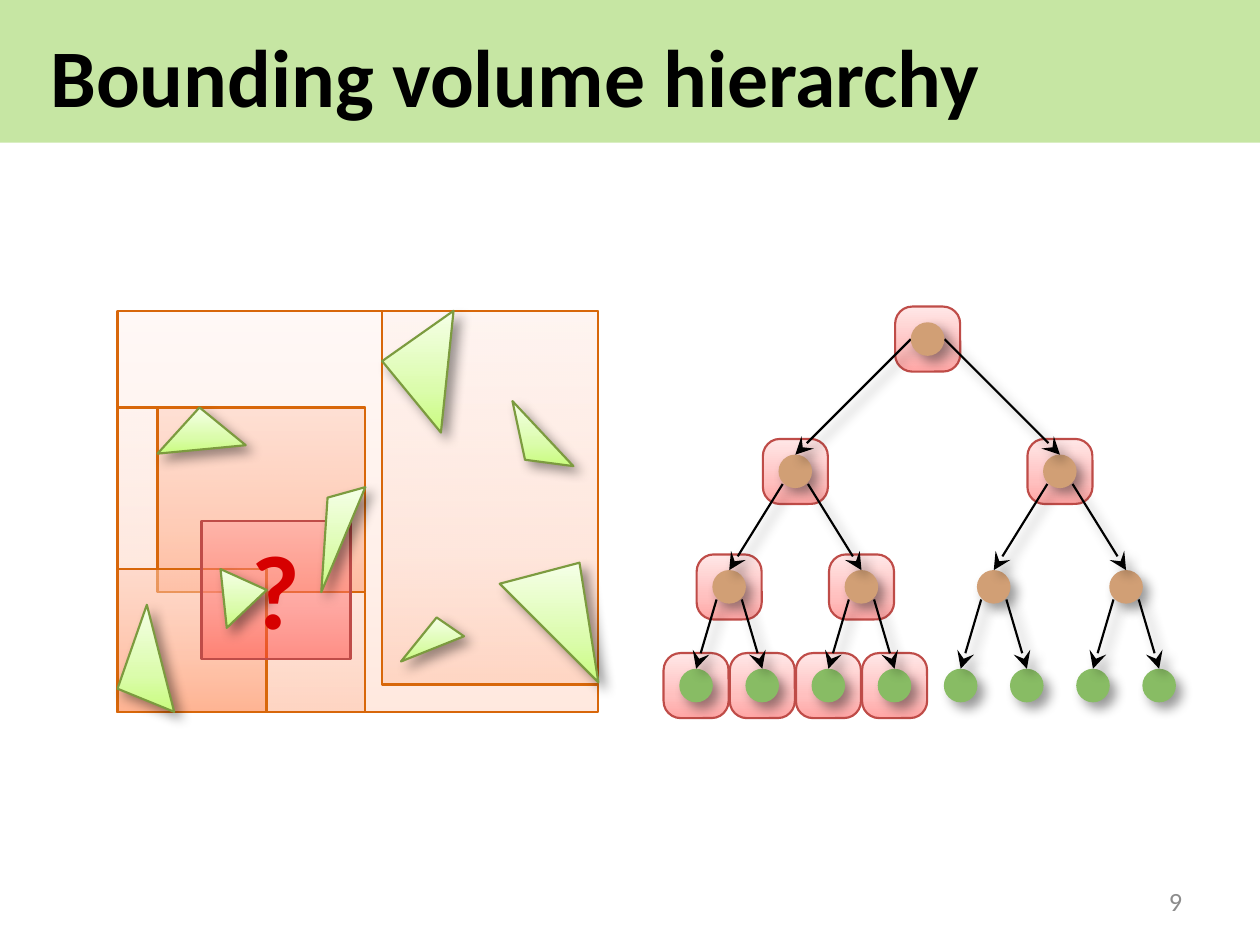
from lxml.etree import SubElement
from pptx import Presentation
from pptx.dml.color import RGBColor
from pptx.enum.shapes import MSO_CONNECTOR, MSO_SHAPE
from pptx.enum.text import MSO_ANCHOR, PP_ALIGN
from pptx.oxml import parse_xml
from pptx.oxml.ns import nsdecls, qn
from pptx.util import Inches, Pt

COLORS = {"band": "92D050", "ink": "000000", "grey": "8C8C8C", "query": "D60000",
          "leaf": "88BC64", "node": "D19F75",
          "red": "BF4C48", "orange": "D8670A", "green": "7C9B3F"}
# Each blend runs from bottom to top: three colours and an opacity in percent.
BLENDS = {"hit": ("FFA6A5", "FFC0BF", "FFE7E7", 100),
          "root": ("FFD4C0", "FFE2D5", "FFF4F0", 50),
          "half": ("FFC2A7", "FFDED0", "FFF3EE", 50),
          "part": ("FF9564", "FFAE8B", "FFCFBC", 50),
          "query": ("FF3F3C", "FF6866", "FF9F9E", 50),
          "face": ("C9FC7E", "DBFCAC", "F5FFE7", 100)}

VOLUMES = [("root", 0, 0, 2.29, 1.91), ("half", 1.26, 0, 1.03, 1.78),
           ("half", 0, 0.46, 1.18, 1.45), ("part", 0.19, 0.46, 0.99, 0.88),
           ("part", 0, 1.23, 0.71, 0.68)]
FACES = [((0, 1.8), (0.14, 1.4), (0.27, 1.91)),
         ((1.52, 1.46), (1.65, 1.55), (1.35, 1.67)),
         ((1.82, 1.3), (2.2, 1.2), (2.29, 1.77)),
         ((0.19, 0.68), (0.39, 0.46), (0.61, 0.64)),
         ((1.26, 0.24), (1.6, 0), (1.54, 0.58)),
         ((1.94, 0.71), (1.88, 0.43), (2.17, 0.74))]
FOUND = [((0.52, 1.51), (0.49, 1.23), (0.71, 1.33)),
         ((1, 0.89), (1.18, 0.84), (0.97, 1.34))]


def rgb(name):
    return RGBColor.from_string(COLORS[name])


def blend(shape, name):
    *stops, alpha = BLENDS[name]
    marks = "".join(
        f'<a:gs pos="{pos}"><a:srgbClr val="{hue}"><a:alpha val="{alpha * 1000}"/></a:srgbClr></a:gs>'
        for pos, hue in zip((0, 35000, 100000), stops))
    shape.fill.solid()
    props = shape._element.spPr
    props.replace(props.find(qn("a:solidFill")), parse_xml(
        f'<a:gradFill {nsdecls("a")} rotWithShape="1"><a:gsLst>{marks}</a:gsLst>'
        '<a:lin ang="16200000" scaled="0"/></a:gradFill>'))


def effect(shape, soft):
    """Give the shape a soft shadow, or none; call after fill and line are set."""
    drop = ('<a:outerShdw blurRad="50800" dist="38100" dir="2700000" algn="tl" rotWithShape="0">'
            '<a:srgbClr val="000000"><a:alpha val="40000"/></a:srgbClr></a:outerShdw>')
    shape._element.spPr.append(parse_xml(
        f'<a:effectLst {nsdecls("a")}>{drop if soft else ""}</a:effectLst>'))


def edge(shape, hue):
    shape.line.color.rgb = rgb(hue)
    shape.line.width = Pt(0.75)


def block(slide, kind, box, fill, hue):
    shape = slide.shapes.add_shape(kind, *map(Inches, box))
    blend(shape, fill)
    edge(shape, hue)
    effect(shape, False)
    return shape


def face(slide, left, top, points):
    spots = [(Inches(left + x), Inches(top + y)) for x, y in points]
    build = slide.shapes.build_freeform(*spots[0])
    build.add_line_segments(spots[1:], close=True)
    shape = build.convert_to_shape()
    blend(shape, "face")
    edge(shape, "green")
    effect(shape, True)


def dot(slide, x, y, hue):
    size = 0.16
    shape = slide.shapes.add_shape(
        MSO_SHAPE.OVAL, *map(Inches, (x - size / 2, y - size / 2, size, size)))
    shape.fill.solid()
    shape.fill.fore_color.rgb = rgb(hue)
    shape.line.fill.background()
    effect(shape, True)


def arrow(slide, *ends):
    line = slide.shapes.add_connector(MSO_CONNECTOR.STRAIGHT, *map(Inches, ends))
    edge(line, "ink")
    SubElement(line.line._get_or_add_ln(), qn("a:tailEnd"), type="stealth")
    effect(line, True)


def label(shape, box, text, size, hue, para, **frame):
    """Place the shape and write one styled line in it."""
    for name, value in zip(("left", "top", "width", "height"), box):
        setattr(shape, name, Inches(value))
    for name, value in frame.items():
        setattr(shape.text_frame, name, value)
    line = shape.text_frame.paragraphs[0]
    line.text = text
    for name, value in para.items():
        setattr(line, name, value)
    bold = size > 9
    for name, value in {"name": "Calibri", "size": Pt(size), "bold": bold}.items():
        setattr(line.font, name, value)
    line.font.color.rgb = rgb(hue)


def inset(x, y):
    return {"margin_left": Inches(x), "margin_right": Inches(x),
            "margin_top": Inches(y), "margin_bottom": Inches(y)}


def head(slide, text):
    band = slide.shapes.add_shape(MSO_SHAPE.RECTANGLE, 0, 0, Inches(6.02), Inches(0.68))
    band.fill.solid()
    band.fill.fore_color.rgb = rgb("band")
    SubElement(band._element.spPr.find(".//" + qn("a:srgbClr")), qn("a:alpha"), val="52000")
    band.line.fill.background()
    effect(band, False)
    title = slide.shapes.title
    band._element.addnext(title._element)
    label(title, (0.17, 0.08, 5.64, 0.55), text, 28, "ink", {"alignment": PP_ALIGN.LEFT},
          vertical_anchor=MSO_ANCHOR.MIDDLE, **inset(0.07, 0.04))


def scene(slide, left, top):
    """Nested bounding boxes around triangles, with the query box on top."""
    for fill, x, y, wide, high in VOLUMES:
        block(slide, MSO_SHAPE.RECTANGLE, (left + x, top + y, wide, high), fill, "orange")
    for points in FACES:
        face(slide, left, top, points)
    block(slide, MSO_SHAPE.RECTANGLE, (left + 0.4, top + 1, 0.71, 0.66), "query", "red")
    for points in FOUND:
        face(slide, left, top, points)
    mark = slide.shapes.add_textbox(0, 0, 0, 0)
    label(mark, (left + 0.54, top + 0.97, 0.44, 0.71), "?", 36, "query", {},
          word_wrap=False, **inset(0.1, 0.05))


def tree(slide, left, top):
    """Binary tree; the first few nodes of each level are marked as visited."""
    size, step = 0.31, 0.315
    drops, hits = (0, 0.63, 1.18, 1.65), (1, 2, 2, 4)
    rows = [[left + size / 2 + step * i for i in range(8)]]
    while len(rows) < len(drops):
        low = rows[0]
        rows.insert(0, [(a + b) / 2 for a, b in zip(low[::2], low[1::2])])
    mids = [top + size / 2 + drop for drop in drops]

    for row, y, count in zip(rows, mids, hits):
        for x in row[:count]:
            box = (x - size / 2, y - size / 2, size, size)
            block(slide, MSO_SHAPE.ROUNDED_RECTANGLE, box, "hit", "red").adjustments[0] = 0.262

    for x in rows[-1]:
        dot(slide, x, mids[-1], "leaf")
    for deep in (2, 1, 0):
        dx, dy = (0.06, 0.06) if deep else (0.08, 0)
        for i, x in enumerate(rows[deep]):
            for side, child in zip((-1, 1), rows[deep + 1][2 * i:]):
                arrow(slide, x + side * dx, mids[deep] + dy, child, mids[deep + 1] - 0.08)
            dot(slide, x, mids[deep], "node")


def main():
    deck = Presentation()
    deck.slide_width, deck.slide_height = Inches(6), Inches(4.5)
    slide = deck.slides.add_slide(deck.slide_layouts[5])
    head(slide, "Bounding volume hierarchy")
    scene(slide, 0.56, 1.48)
    tree(slide, 3.16, 1.46)
    label(slide.shapes.add_textbox(0, 0, 0, 0), (4.3, 4.17, 1.4, 0.24), "9", 9, "grey",
          {"alignment": PP_ALIGN.RIGHT}, word_wrap=True,
          vertical_anchor=MSO_ANCHOR.MIDDLE, **inset(0.07, 0.04))
    deck.save("out.pptx")


if __name__ == "__main__":
    main()
